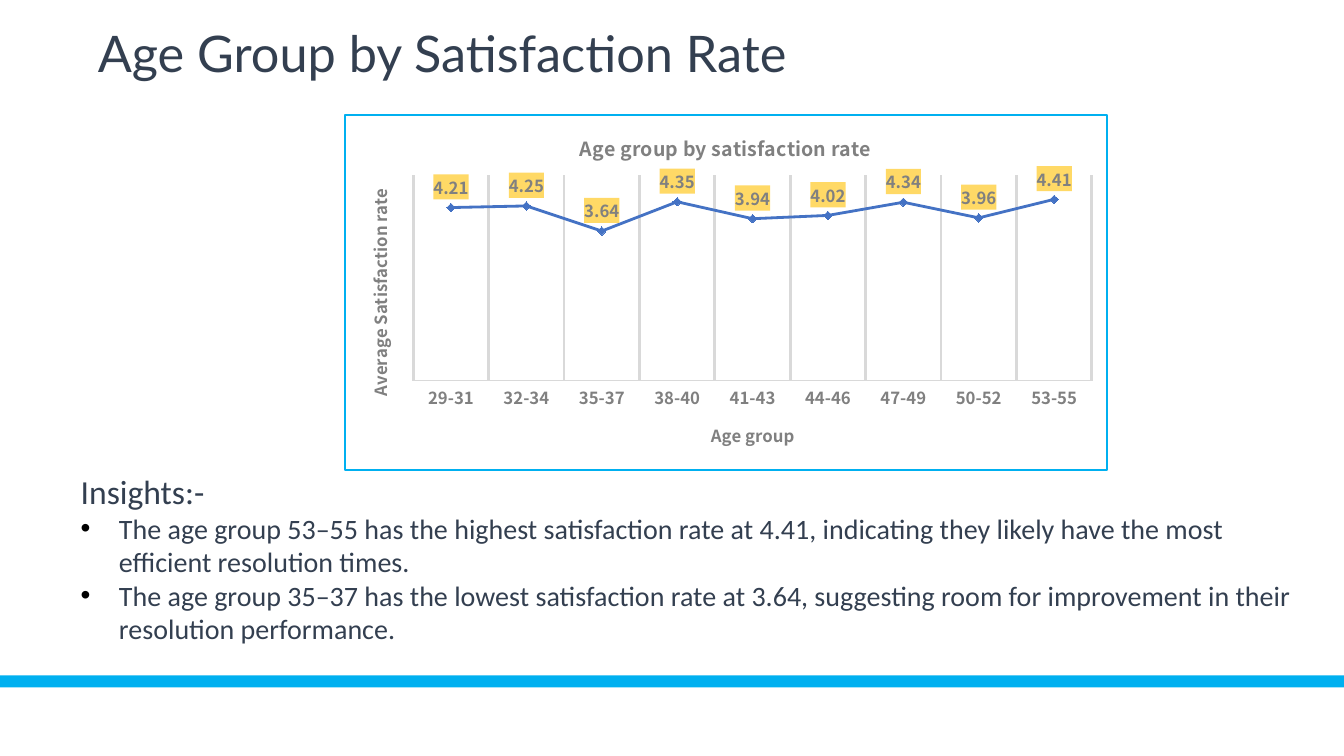
from lxml.etree import fromstring
from pptx import Presentation
from pptx.chart.data import CategoryChartData
from pptx.dml.color import RGBColor
from pptx.enum.chart import XL_CHART_TYPE, XL_LABEL_POSITION, XL_MARKER_STYLE, XL_TICK_MARK
from pptx.enum.shapes import MSO_SHAPE
from pptx.enum.text import MSO_ANCHOR
from pptx.oxml.ns import nsdecls, qn
from pptx.util import Inches, Pt

TITLE = "Age Group by Satisfaction Rate"
CHART_TITLE = "Age group by satisfaction rate"
X_TITLE, Y_TITLE = "Age group", "Average Satisfaction rate"
RATES = {
    "29-31": 4.21, "32-34": 4.25, "35-37": 3.64,
    "38-40": 4.35, "41-43": 3.94, "44-46": 4.02,
    "47-49": 4.34, "50-52": 3.96, "53-55": 4.41,
}
HEADING = "Insights:-"
INSIGHTS = [
    "The age group 53–55 has the highest satisfaction rate at 4.41, indicating "
    "they likely have the most efficient resolution times.",
    "The age group 35–37 has the lowest satisfaction rate at 3.64, suggesting "
    "room for improvement in their resolution performance.",
]

CHART_FONT = "Noto Sans CJK SC"
THEME = {
    "accent": "00B0F0", "line": "4472C4", "grid": "D9D9D9", "label_fill": "FFD966",
    "title": {"name": "Lato", "size": 36, "color": "333F50"},
    "heading": {"name": "Calibri", "size": 24, "color": "333F50"},
    "body": {"name": "Calibri", "size": 20, "color": "333F50"},
    "chart": {"name": "Calibri", "size": 10, "color": "000000"},
    "chart_title": {"name": CHART_FONT, "size": 14, "color": "808080", "bold": True},
    "chart_text": {"name": CHART_FONT, "size": 12, "color": "808080", "bold": True},
}
PLOT = {"x": 0.09, "y": 0.17, "w": 0.89, "h": 0.58}
INDENT = Inches(0.38)


def rgb(name):
    return RGBColor.from_string(THEME[name])


def style(font, name):
    for key, value in THEME[name].items():
        if key == "color":
            font.color.rgb = RGBColor.from_string(value)
        else:
            setattr(font, key, Pt(value) if key == "size" else value)


def add_text(p, text, name):
    r = p.add_run()
    r.text = text
    style(r.font, name)


def add_box(s, box, margins):
    tf = s.shapes.add_textbox(*map(Inches, box)).text_frame
    tf.word_wrap = True
    tf.vertical_anchor = MSO_ANCHOR.TOP
    for side, margin in zip(("left", "top", "right", "bottom"), margins):
        setattr(tf, f"margin_{side}", Inches(margin))
    return tf


def add_bullet(p):
    pPr = p._p.get_or_add_pPr()
    pPr.set("marL", str(INDENT))
    pPr.set("indent", str(-INDENT))
    for xml in ('<a:buClr {}><a:srgbClr val="000000"/></a:buClr>',
                '<a:buFont {} typeface="Arial"/>',
                '<a:buChar {} char="•"/>'):
        pPr.append(fromstring(xml.format(nsdecls("a"))))


def shape_props(inner):
    return fromstring(f'<c:spPr {nsdecls("c", "a")}>{inner}</c:spPr>')


def solid(name):
    return f'<a:solidFill><a:srgbClr val="{THEME[name]}"/></a:solidFill>'


def set_line(line, name, width):
    line.color.rgb = rgb(name)
    line.width = Pt(width)


def add_rates_chart(s, box):
    data = CategoryChartData(number_format="0.00")
    data.categories = list(RATES)
    data.add_series("Series 1", list(RATES.values()))
    chart = s.shapes.add_chart(
        XL_CHART_TYPE.LINE_MARKERS_STACKED, *map(Inches, box), data).chart
    chart.has_legend = False
    style(chart.font, "chart")

    x, y = chart.category_axis, chart.value_axis
    for title, text, name in ((chart.chart_title, CHART_TITLE, "chart_title"),
                              (x.axis_title, X_TITLE, "chart_text"),
                              (y.axis_title, Y_TITLE, "chart_text")):
        add_text(title.text_frame.paragraphs[0], text, name)
    x.major_tick_mark = XL_TICK_MARK.NONE
    x.has_major_gridlines = True
    set_line(x.major_gridlines.format.line, "grid", 2)
    set_line(x.format.line, "grid", 0.75)
    style(x.tick_labels.font, "chart_text")
    y.minimum_scale, y.maximum_scale, y.major_unit = 0, 5, 1
    y.has_major_gridlines = False
    y.visible = False

    plot = chart.plots[0]
    plot.vary_by_categories = False
    series = plot.series[0]
    series.smooth = False
    set_line(series.format.line, "line", 2)
    marker = series.marker
    marker.style, marker.size = XL_MARKER_STYLE.DIAMOND, 6
    marker.format.fill.solid()
    marker.format.fill.fore_color.rgb = rgb("line")
    marker.format.line.color.rgb = rgb("line")

    labels = series.data_labels
    labels.show_value = True
    labels.number_format, labels.number_format_is_linked = "0.00", False
    labels.position = XL_LABEL_POSITION.ABOVE
    style(labels.font, "chart_text")
    dLbls = series._element.find(qn("c:dLbls"))
    dLbls.find(qn("c:numFmt")).addnext(shape_props(solid("label_fill")))

    root = chart.element.find(qn("c:chart"))
    root.addnext(shape_props(
        f'<a:noFill/><a:ln w="{Pt(1.25)}">{solid("accent")}</a:ln>'))
    area = root.find(qn("c:plotArea"))
    for old in area.findall(qn("c:layout")):
        area.remove(old)
    sizes = "".join(f'<c:{k} val="{v}"/>' for k, v in PLOT.items())
    area.insert(0, fromstring(
        f'<c:layout {nsdecls("c")}><c:manualLayout><c:layoutTarget val="inner"/>'
        f'<c:xMode val="edge"/><c:yMode val="edge"/>{sizes}</c:manualLayout></c:layout>'))


def main():
    prs = Presentation()
    prs.slide_width, prs.slide_height = Inches(13.33), Inches(7.5)
    s = prs.slides.add_slide(prs.slide_layouts[6])

    band = s.shapes.add_shape(
        MSO_SHAPE.RECTANGLE, 0, Inches(6.7), prs.slide_width, Inches(0.12))
    band.shadow.inherit = False
    band.fill.solid()
    band.fill.fore_color.rgb = rgb("accent")
    band.line.fill.background()

    add_rates_chart(s, (3.41, 1.13, 7.58, 3.54))

    p = add_box(s, (0.8, 0.26, 8.86, 0.8), (0.17, 0.03, 0.07, 0.03)).paragraphs[0]
    p.line_spacing = 0.9
    add_text(p, TITLE, "title")

    tf = add_box(s, (0.8, 4.67, 12.15, 1.75), (0, 0, 0, 0))
    add_text(tf.paragraphs[0], HEADING, "heading")
    for insight in INSIGHTS:
        p = tf.add_paragraph()
        add_bullet(p)
        add_text(p, insight, "body")

    prs.save("out.pptx")


if __name__ == "__main__":
    main()
